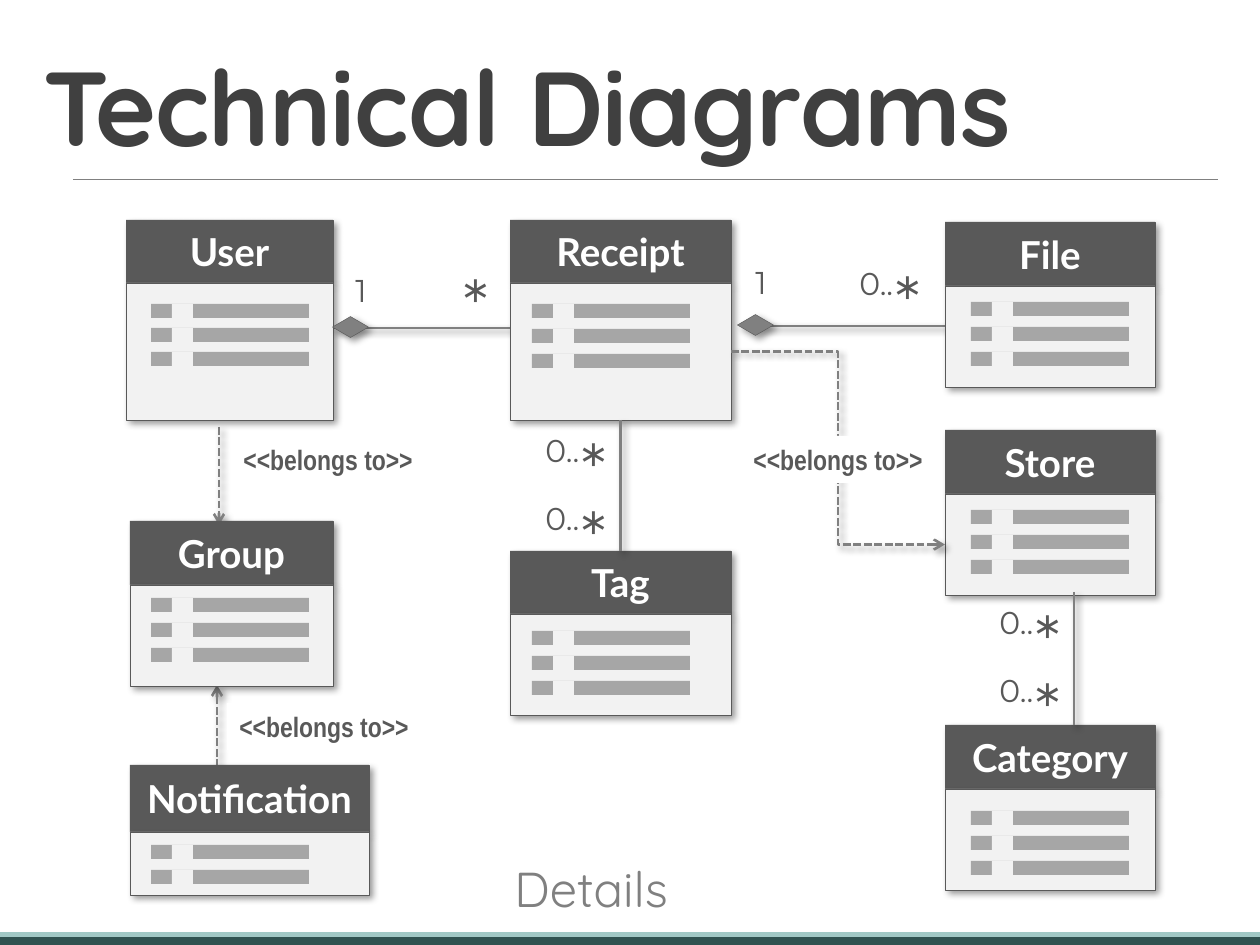
from dataclasses import dataclass
from typing import Any

import pptx
import pptx.dml.color
import pptx.enum.dml
import pptx.enum.shapes
import pptx.enum.text
import pptx.oxml.ns
import pptx.util
from lxml import etree

SCALE = 914400 / 126
COLORS = {
    "white": "FFFFFF",
    "title": "404040",
    "dark": "595959",
    "line": "808080",
    "body": "F2F2F2",
    "row": "A6A6A6",
    "teal": "305250",
    "mint": "A1C8C5",
    "shadow": "000000",
}
SHAPE = pptx.enum.shapes.MSO_SHAPE
CONNECTOR = pptx.enum.shapes.MSO_CONNECTOR
ALIGN = pptx.enum.text.PP_ALIGN
ANCHOR = pptx.enum.text.MSO_ANCHOR
AUTO_SIZE = pptx.enum.text.MSO_AUTO_SIZE
qn = pptx.oxml.ns.qn


@dataclass
class Entity:
    name: str
    left: int
    top: int
    width: int
    header: int
    body: int
    row_left: int
    row_top: int
    row_pitch: int = 25
    row_count: int = 3


@dataclass
class Link:
    start: tuple[int, int]
    end: tuple[int, int]
    arrow: str = ""
    kind: Any = CONNECTOR.STRAIGHT
    width: float = 1.5
    shadow: bool = True


@dataclass
class TextStyle:
    font: str
    size: int
    color: str
    bold: bool = False


HEADER = TextStyle("Lato", 22, "white", True)
COUNT = TextStyle("Montserrat", 18, "dark")
STAR = TextStyle("Montserrat", 36, "dark")
STEREOTYPE = TextStyle("Arial Narrow", 16, "dark", True)
TITLE = TextStyle("Quicksand", 60, "title", True)
CAPTION = TextStyle("Quicksand", 28, "line")

ENTITIES = [
    Entity("User", 126, 220, 207, 63, 137, 151, 304, 24),
    Entity("Receipt", 510, 220, 221, 63, 137, 532, 304),
    Entity("Group", 130, 521, 203, 64, 101, 151, 598),
    Entity("Category", 945, 725, 210, 64, 101, 971, 811),
    Entity("Tag", 510, 551, 221, 63, 101, 532, 631),
    Entity("File", 945, 222, 210, 64, 101, 971, 302),
    Entity("Notification", 130, 765, 239, 67, 63, 151, 845, row_count=2),
    Entity("Store", 945, 430, 210, 64, 101, 971, 510),
]
LINKS_BEHIND = [
    Link((73, 179), (1218, 179), width=0.5, shadow=False),
    Link((756, 326), (961, 326)),
    Link((331, 328), (520, 328)),
    Link((217, 685), (217, 782), "head"),
    Link((219, 427), (219, 525), "tail"),
]
STORE_CATEGORY = Link((1074, 592), (1074, 725))
RECEIPT_TAG = Link((620, 420), (620, 551))
RECEIPT_STORE = Link((731, 352), (945, 544), "tail", CONNECTOR.ELBOW)
DIAMONDS = [(340, 309), (745, 307)]
ONES = [(343, 265), (743, 257)]
MANY = (451, 257)
ZERO_TO_MANY = [(847, 258), (533, 425), (533, 493), (987, 597), (987, 665)]
STEREOTYPES = [(741, 436), (227, 703), (231, 436)]


def emu(pixels: int) -> int:
    return round(pixels * SCALE)


def rgb(name: str) -> pptx.dml.color.RGBColor:
    return pptx.dml.color.RGBColor.from_string(COLORS[name])


def cast_shadow(effects: Any) -> None:
    shadow = etree.SubElement(
        effects, qn("a:outerShdw"), blurRad="50800", dist="38100",
        dir="2700000", algn="tl", rotWithShape="0",
    )
    color = etree.SubElement(shadow, qn("a:srgbClr"), val=COLORS["shadow"])
    etree.SubElement(color, qn("a:alpha"), val="40000")


def draw_shape(shapes: Any, box: tuple[int, int, int, int], fill: str,
               outlined: bool = False, kind: Any = SHAPE.RECTANGLE) -> Any:
    shape = shapes.add_shape(kind, *map(emu, box))
    shape.fill.solid()
    shape.fill.fore_color.rgb = rgb(fill)
    shape.shadow.inherit = False
    if outlined:
        shape.line.color.rgb = rgb("dark")
        shape.line.width = pptx.util.Pt(0.25)
        cast_shadow(shape._element.spPr.find(qn("a:effectLst")))
    else:
        shape.line.fill.background()
    return shape


def write(shape: Any, text: str, style: TextStyle, align: Any = ALIGN.LEFT,
          anchor: Any = ANCHOR.TOP, wrap: bool = True) -> Any:
    frame = shape.text_frame
    frame.word_wrap = wrap
    frame.vertical_anchor = anchor
    paragraph = frame.paragraphs[0]
    paragraph.text = text
    paragraph.alignment = align
    paragraph.font.name = style.font
    paragraph.font.size = pptx.util.Pt(style.size)
    paragraph.font.bold = style.bold
    paragraph.font.color.rgb = rgb(style.color)
    return paragraph


def draw_label(shapes: Any, box: tuple[int, int, int, int], text: str, style: TextStyle) -> None:
    label = shapes.add_textbox(*map(emu, box))
    write(label, text, style)
    label.text_frame.auto_size = AUTO_SIZE.SHAPE_TO_FIT_TEXT


def draw_link(shapes: Any, link: Link) -> Any:
    connector = shapes.add_connector(link.kind, *map(emu, link.start + link.end))
    connector.line.color.rgb = rgb("line")
    connector.line.width = pptx.util.Pt(link.width)
    if link.arrow:
        connector.line.dash_style = pptx.enum.dml.MSO_LINE.SQUARE_DOT
        outline = connector.line._get_or_add_ln()
        etree.SubElement(outline, qn(f"a:{link.arrow}End"), type="arrow")
    effects = etree.SubElement(connector._element.spPr, qn("a:effectLst"))
    if link.shadow:
        cast_shadow(effects)
    return connector


def draw_entity(shapes: Any, entity: Entity) -> tuple[Any, Any]:
    header = draw_shape(shapes, (entity.left, entity.top, entity.width, entity.header), "dark", True)
    write(header, entity.name, HEADER, ALIGN.CENTER, ANCHOR.MIDDLE)
    body_top = entity.top + entity.header
    body = draw_shape(shapes, (entity.left, body_top, entity.width, entity.body), "body", True)
    rows = shapes.add_group_shape()
    for index in range(entity.row_count):
        top = entity.row_top + index * entity.row_pitch
        draw_shape(rows.shapes, (entity.row_left, top, 158, 14), "row")
        draw_shape(rows.shapes, (entity.row_left + 21, top, 21, 14), "body")
    return header, body


def main() -> None:
    presentation = pptx.Presentation()
    presentation.slide_width = emu(1260)
    presentation.slide_height = emu(945)
    slide = presentation.slides.add_slide(presentation.slide_layouts[6])
    shapes = slide.shapes

    draw_shape(shapes, (0, 936, 1260, 9), "teal")
    draw_shape(shapes, (0, 932, 1260, 5), "mint")
    for link in LINKS_BEHIND:
        draw_link(shapes, link)

    title = shapes.add_textbox(*map(emu, (31, 21, 1144, 153)))
    paragraph = write(title, "Technical Diagrams", TITLE, anchor=ANCHOR.BOTTOM)
    paragraph.line_spacing = 0.85
    paragraph.runs[0]._r.get_or_add_rPr().set("spc", "-50")

    parts = {entity.name: draw_entity(shapes, entity) for entity in ENTITIES}
    for left, top in DIAMONDS:
        diamond = draw_shape(shapes, (left, top, 21, 36), "line", True, SHAPE.DIAMOND)
        diamond.rotation = 270

    draw_link(shapes, STORE_CATEGORY)
    receipt_tag = draw_link(shapes, RECEIPT_TAG)
    receipt_tag.begin_connect(parts["Receipt"][1], 2)
    receipt_tag.end_connect(parts["Tag"][0], 0)
    receipt_store = draw_link(shapes, RECEIPT_STORE)
    receipt_store.begin_connect(parts["Receipt"][1], 3)
    receipt_store.end_connect(parts["Store"][1], 1)

    for left, top in ONES:
        draw_label(shapes, (left, top, 42, 50), "1", COUNT)
    draw_label(shapes, (*MANY, 42, 89), "*", STAR)
    for left, top in ZERO_TO_MANY:
        draw_label(shapes, (left + 36, top - 4, 42, 89), "*", STAR)
        draw_label(shapes, (left, top, 78, 50), "0..", COUNT)
    for left, top in STEREOTYPES:
        label = draw_shape(shapes, (left, top, 197, 47), "white")
        write(label, "<<belongs to>>", STEREOTYPE, wrap=False)
        label.text_frame.auto_size = AUTO_SIZE.SHAPE_TO_FIT_TEXT
    caption = draw_shape(shapes, (494, 861, 194, 53), "white")
    write(caption, "Details", CAPTION, ALIGN.CENTER, ANCHOR.MIDDLE)

    presentation.save("out.pptx")


if __name__ == "__main__":
    main()
